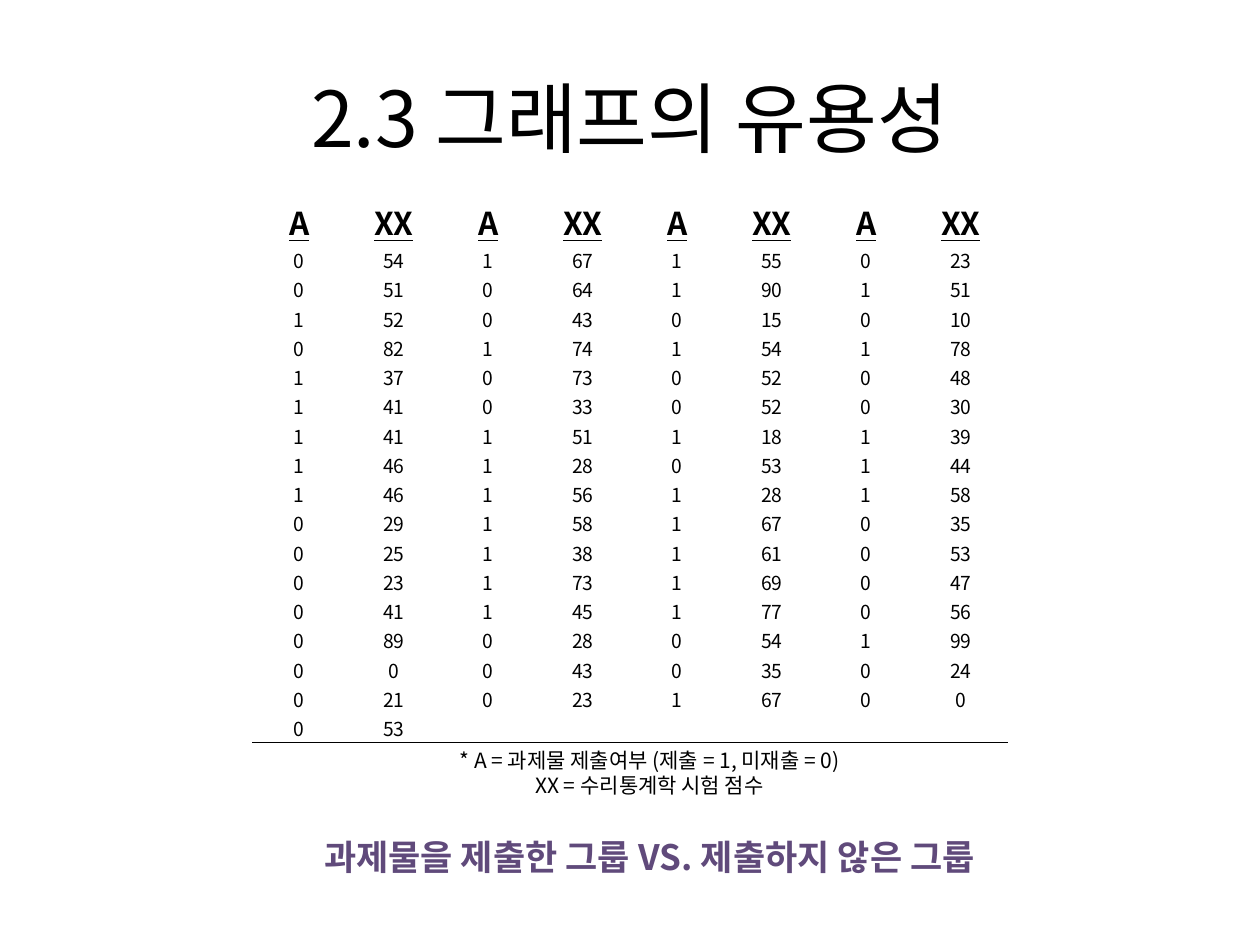
from lxml import etree
from pptx import Presentation
from pptx.dml.color import RGBColor
from pptx.enum.text import MSO_ANCHOR, MSO_AUTO_SIZE, PP_ALIGN
from pptx.oxml.ns import qn
from pptx.util import Inches, Pt

CENTER = PP_ALIGN.CENTER
MIDDLE = MSO_ANCHOR.MIDDLE
FIT = MSO_AUTO_SIZE.SHAPE_TO_FIT_TEXT
FONT = "Noto Sans CJK KR"
COLORS = {"text": "000000", "accent": "604A7B"}
PLAIN = "{2D5ABB26-0587-4C30-8999-92F81FD0307C}"

SCORES = """0 54 1 67 1 55 0 23
0 51 0 64 1 90 1 51
1 52 0 43 0 15 0 10
0 82 1 74 1 54 1 78
1 37 0 73 0 52 0 48
1 41 0 33 0 52 0 30
1 41 1 51 1 18 1 39
1 46 1 28 0 53 1 44
1 46 1 56 1 28 1 58
0 29 1 58 1 67 0 35
0 25 1 38 1 61 0 53
0 23 1 73 1 69 0 47
0 41 1 45 1 77 0 56
0 89 0 28 0 54 1 99
0 0 0 43 0 35 0 24
0 21 0 23 1 67 0 0
0 53"""


def style(frame, size, color="text", bold=False, under=False):
    for para in frame.paragraphs:
        para.alignment = CENTER
        for run in para.runs:
            font = run.font
            font.name = FONT
            font.size = Pt(size)
            font.bold = bold
            font.underline = under
            font.color.rgb = RGBColor.from_string(COLORS[color])
            east = etree.SubElement(font._element, qn("a:ea"))
            east.set("typeface", FONT)
        if not para.runs:
            end = etree.SubElement(para._p, qn("a:endParaRPr"))
            end.set("sz", str(size * 100))


def rule(cell, side):
    line = etree.Element(qn("a:" + side), w=str(Pt(0.5)))
    fill = etree.SubElement(line, qn("a:solidFill"))
    etree.SubElement(fill, qn("a:srgbClr"), val=COLORS["text"])
    cell._tc.get_or_add_tcPr().insert(0, line)


prs = Presentation()
prs.slide_width = Inches(10)
prs.slide_height = Inches(7.5)
slide = prs.slides.add_slide(prs.slide_layouts[5])

title = slide.shapes.title
title.left, title.top = Inches(0.5), Inches(0.3)
title.width, title.height = Inches(9), Inches(1.25)
title.text_frame.text = "2.3 그래프의 유용성"
title.text_frame.vertical_anchor = MIDDLE
style(title.text_frame, 44)

rows = [["A", "XX"] * 4] + [line.split() for line in SCORES.splitlines()] + [[]]
last = len(rows) - 1
table = slide.shapes.add_table(
    len(rows), 8, Inches(2), Inches(1.57), Inches(6), Inches(4.44)
).table
table.first_row = False
table.horz_banding = False
table._tbl.tblPr.find(qn("a:tableStyleId")).text = PLAIN

for col in table.columns:
    col.width = Inches(0.75)
for r, row in enumerate(rows):
    table.rows[r].height = Inches(0.37) if r == 0 else Inches(3.95) // 17
    for c in range(8):
        cell = table.cell(r, c)
        cell.text_frame.text = row[c] if c < len(row) else ""
        cell.vertical_anchor = MIDDLE
        cell.margin_left = cell.margin_right = cell.margin_top = Inches(0.01)
        cell.margin_bottom = 0
        cell.fill.background()
        style(cell.text_frame, 18 if r == 0 else 11, bold=r == 0, under=r == 0)
        if r == last - 1:
            rule(cell, "lnB")
        elif r == last:
            rule(cell, "lnT")

notes = [
    (2.87, 5.88, 4.57, 0.5, 12, "text", False,
     "* A = 과제물 제출여부 (제출 = 1, 미재출 = 0)\nXX = 수리통계학 시험 점수"),
    (0.59, 6.58, 9.13, 0.44, 20, "accent", True,
     "과제물을 제출한 그룹 VS. 제출하지 않은 그룹"),
]
for left, top, width, height, size, color, bold, text in notes:
    box = slide.shapes.add_textbox(
        Inches(left), Inches(top), Inches(width), Inches(height)
    )
    frame = box.text_frame
    frame.word_wrap = True
    frame.auto_size = FIT
    frame.text = text
    style(frame, size, color, bold)

prs.save("out.pptx")
